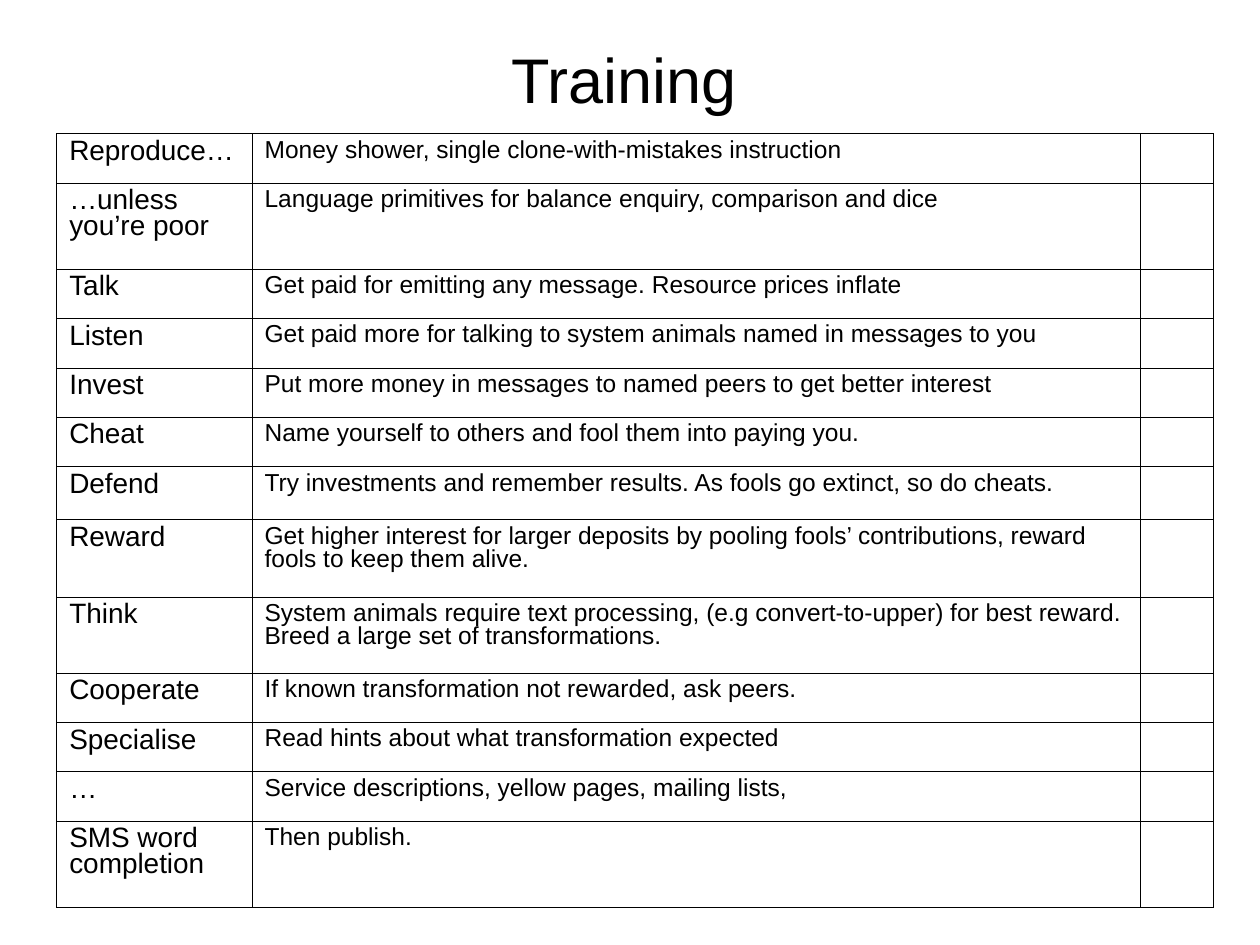
from dataclasses import dataclass
from lxml import etree
from pptx import Presentation
from pptx import util as u
from pptx.dml.color import RGBColor
from pptx.enum import text as t
from pptx.oxml import ns


@dataclass(frozen=True)
class Theme:
    font: str = "Arial"
    ink: str = "000000"
    title: float = 36
    label: float = 16
    body: float = 14
    thin: float = 0.23
    edge: float = 0.5


ROWS = [
    ("Reproduce…", "Money shower, single clone-with-mistakes instruction", 0.39),
    ("…unless you’re poor", "Language primitives for balance enquiry, comparison and dice", 0.68),
    ("Talk", "Get paid for emitting any message. Resource prices inflate", 0.39),
    ("Listen", "Get paid more for talking to system animals named in messages to you", 0.39),
    ("Invest", "Put more money in messages to named peers to get better interest", 0.39),
    ("Cheat", "Name yourself to others and fool them into paying you.", 0.39),
    ("Defend", "Try investments and remember results. As fools go extinct, so do cheats.", 0.42),
    ("Reward", "Get higher interest for larger deposits by pooling fools’ contributions, "
     "reward fools to keep them alive.", 0.61),
    ("Think", "System animals require text processing, (e.g convert-to-upper) for best reward. "
     "Breed a large set of transformations.", 0.6),
    ("Cooperate", "If known transformation not rewarded, ask peers.", 0.39),
    ("Specialise", "Read hints about what transformation expected", 0.39),
    ("…", "Service descriptions, yellow pages, mailing lists,", 0.39),
    ("SMS word completion", "Then publish.", 0.68),
]
COLS = [1.55, 7.05, 0.58]
TALL = 6.14


def write(frame, words, theme, size, align=t.PP_ALIGN.LEFT, space=None):
    frame.word_wrap = True
    para = frame.paragraphs[0]
    para.alignment = align
    if space:
        para.line_spacing = space
    if not words:
        end = etree.SubElement(para._p, ns.qn("a:endParaRPr"))
        end.set("sz", str(int(size * 100)))
        return
    run = para.add_run()
    run.text = words
    run.font.name = theme.font
    run.font.size = u.Pt(size)
    run.font.color.rgb = RGBColor.from_string(theme.ink)


class Deck:
    def __init__(self, theme):
        self.theme = theme
        self.show = Presentation()
        self.show.slide_width = u.Inches(10)
        self.show.slide_height = u.Inches(7.5)
        self.slide = self.show.slides.add_slide(self.show.slide_layouts[6])

    def title(self, words, *box):
        frame = self.slide.shapes.add_textbox(*map(u.Inches, box)).text_frame
        frame.vertical_anchor = t.MSO_ANCHOR.MIDDLE
        write(frame, words, self.theme, self.theme.title, t.PP_ALIGN.CENTER)

    def border(self, cell, sides):
        props = cell._tc.get_or_add_tcPr()
        for side, outer in sides.items():
            width = self.theme.edge if outer else self.theme.thin
            line = etree.SubElement(props, ns.qn(f"a:ln{side}"), w=str(u.Pt(width)))
            fill = etree.SubElement(line, ns.qn("a:solidFill"))
            etree.SubElement(fill, ns.qn("a:srgbClr"), val=self.theme.ink)

    def table(self, rows, cols, left, top, height):
        frame = self.slide.shapes.add_table(
            len(rows), len(cols), u.Inches(left), u.Inches(top),
            u.Inches(sum(cols)), u.Inches(height))
        grid = frame.table
        grid.first_row = grid.horz_banding = False
        for col, width in zip(grid.columns, cols):
            col.width = u.Inches(width)
        scale = height / sum(row[-1] for row in rows)
        sizes = self.theme.label, self.theme.body, self.theme.body
        for r, (label, body, tall) in enumerate(rows):
            grid.rows[r].height = u.Inches(tall * scale)
            for c, words in enumerate((label, body, "")):
                cell = grid.cell(r, c)
                write(cell.text_frame, words, self.theme, sizes[c], space=0.83)
                self.border(cell, {"L": c == 0, "R": c == len(cols) - 1,
                                   "T": r == 0, "B": r == len(rows) - 1})
                cell.fill.background()


def main():
    deck = Deck(Theme())
    deck.title("Training", 0.45, 0, 9, 1.25)
    deck.table(ROWS, COLS, 0.45, 1.06, TALL)
    deck.show.save("out.pptx")


if __name__ == "__main__":
    main()
